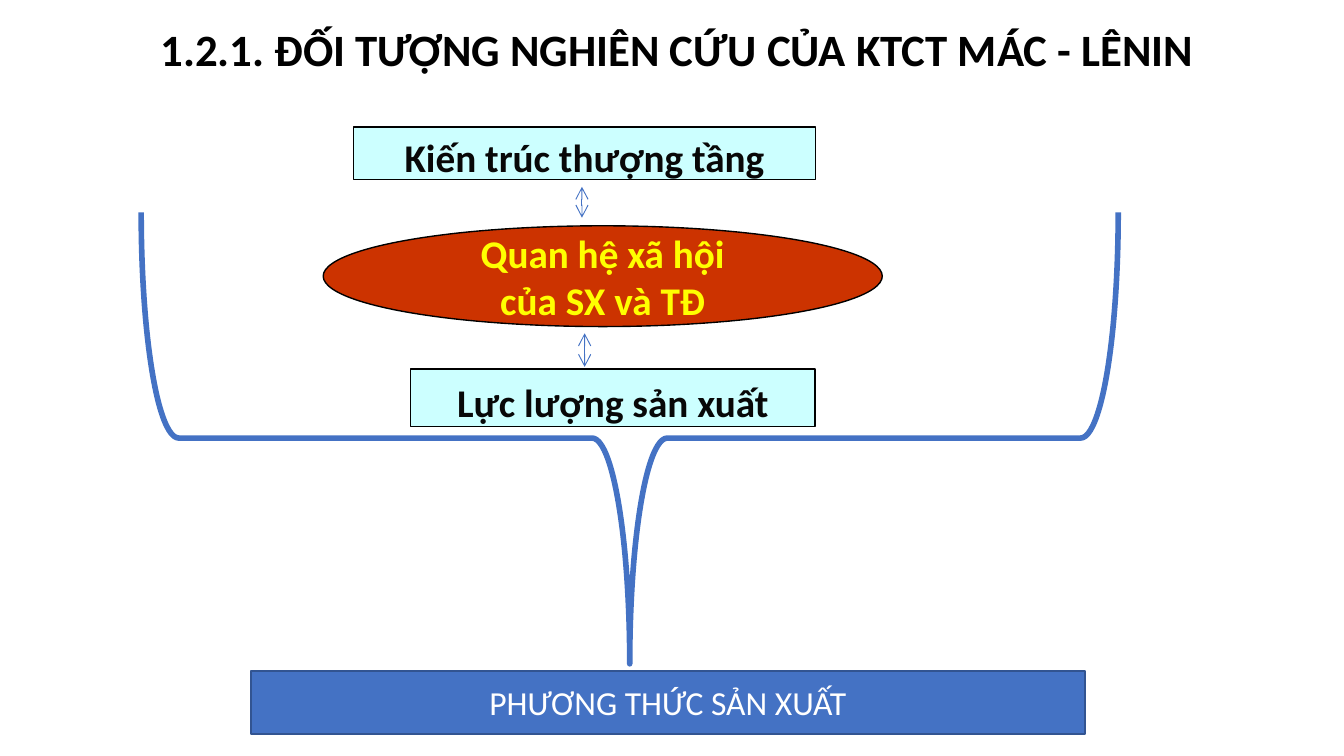
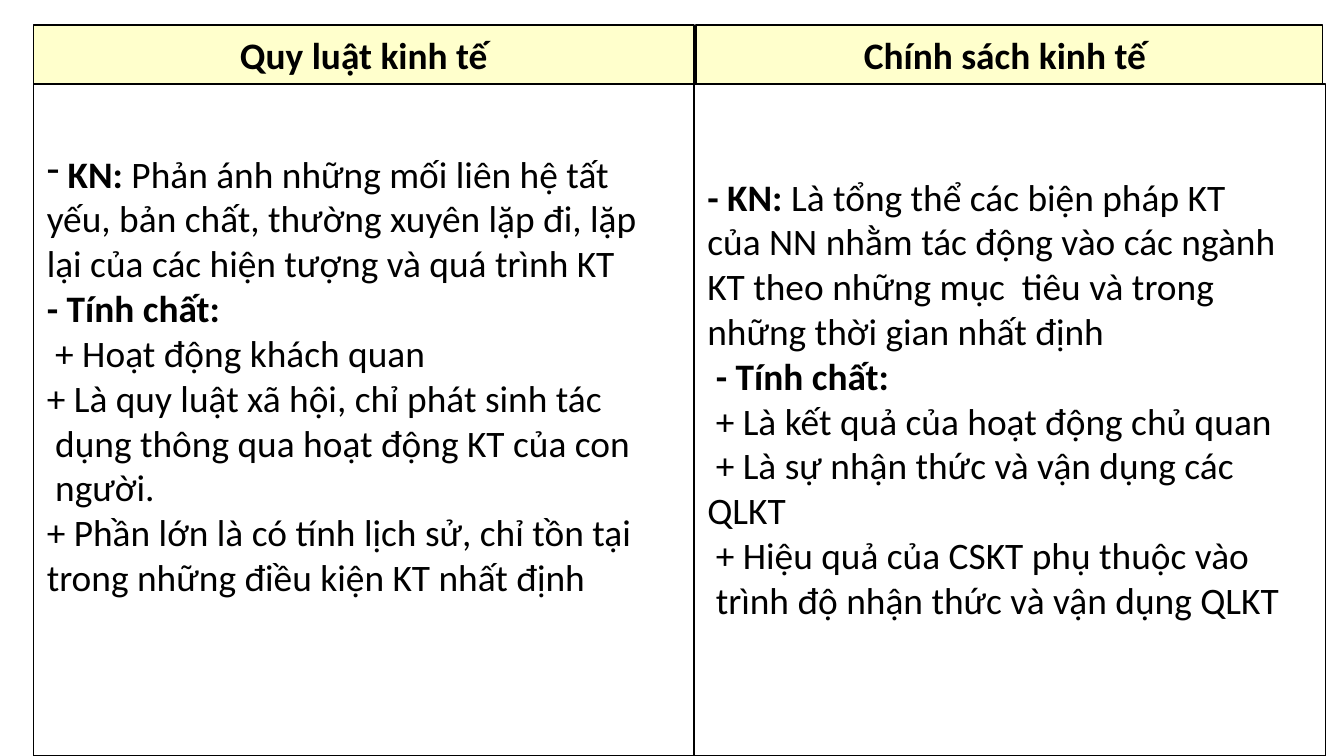
from lxml import etree
from pptx import Presentation
from pptx.dml.color import RGBColor
from pptx.enum.shapes import MSO_CONNECTOR, MSO_SHAPE
from pptx.enum.text import MSO_ANCHOR, PP_ALIGN
from pptx.oxml.ns import qn
from pptx.util import Pt

PX = 4572  # 200 px to the inch
FONT = "Calibri"
RECT, OVAL, BRACE = MSO_SHAPE.RECTANGLE, MSO_SHAPE.OVAL, MSO_SHAPE.RIGHT_BRACE
LINE = MSO_CONNECTOR.STRAIGHT
MID = MSO_ANCHOR.MIDDLE
CENTER, JUST = PP_ALIGN.CENTER, PP_ALIGN.JUSTIFY

COLORS = {
    "black": "000000", "ink": "080808", "white": "FFFFFF",
    "cyan": "CCFFFF", "red": "CC3300", "yellow": "FFFF00",
    "cream": "FFFFCC", "blue": "4472C4", "navy": "325491",
}

LAW = [
    [(" KN: ", True), ("Phản ánh những mối liên hệ tất", False)],
    "yếu, bản chất, thường xuyên lặp đi, lặp",
    "lại của các hiện tượng và quá trình KT",
    [("- Tính chất:", True)],
    " + Hoạt động khách quan",
    "+ Là quy luật xã hội, chỉ phát sinh tác",
    " dụng thông qua hoạt động KT của con",
    " người.",
    "+ Phần lớn là có tính lịch sử, chỉ tồn tại",
    "trong những điều kiện KT nhất định",
]
POLICY = [
    [("- KN: ", True), ("Là tổng thể các biện pháp KT ", False)],
    "của NN nhằm tác động vào các ngành",
    "KT theo những mục  tiêu và trong ",
    "những thời gian nhất định",
    [(" - Tính chất:", True)],
    " + Là kết quả của hoạt động chủ quan",
    " + Là sự nhận thức và vận dụng các ",
    "QLKT ",
    " + Hiệu quả của CSKT phụ thuộc vào",
    " trình độ nhận thức và vận dụng QLKT",
]


def rgb(name):
    return RGBColor.from_string(COLORS[name])


def px(*vals):
    return [v * PX for v in vals]


def write(shape, paras, size, color="black", bold=False, align=CENTER,
          top=10, bottom=10):
    """Fill a shape with paragraphs: plain strings or lists of (text, bold)."""
    frame = shape.text_frame
    frame.word_wrap = True
    frame.margin_top, frame.margin_bottom = px(top, bottom)
    for i, runs in enumerate(paras):
        para = frame.add_paragraph() if i else frame.paragraphs[0]
        para.alignment = align
        if isinstance(runs, str):
            runs = [(runs, bold)]
        for text, heavy in runs:
            run = para.add_run()
            run.text = text
            font = run.font
            font.name, font.size, font.bold = FONT, Pt(size), heavy
            font.color.rgb = rgb(color)
    return frame


def add_box(slide, kind, at, fill=None, edge="black", width=0.75):
    box = slide.shapes.add_shape(kind, *px(*at))
    box.shadow.inherit = False
    if fill:
        box.fill.solid()
        box.fill.fore_color.rgb = rgb(fill)
    else:
        box.fill.background()
    box.line.color.rgb = rgb(edge)
    box.line.width = Pt(width)
    box.text_frame.vertical_anchor = MID
    return box


def add_arrow(slide, x, top, end):
    """Draw an upright arrow with a head at both ends."""
    link = slide.shapes.add_connector(LINE, *px(x, top, x, end))
    link.line.color.rgb = rgb("blue")
    link.line.width = Pt(0.5)
    props = link._element.spPr
    for tag in ("a:headEnd", "a:tailEnd"):
        etree.SubElement(props.find(qn("a:ln")), qn(tag), type="arrow")
    etree.SubElement(props, qn("a:effectLst"))


def add_title(slide, text):
    box = slide.shapes.add_textbox(*px(0, -2, 2000, 116))
    frame = write(box, [text], 24, bold=True)
    frame.paragraphs[0].line_spacing = 1.3


def add_dash(para):
    """Give a paragraph a dash bullet in the font of its text."""
    props = para._p.get_or_add_pPr()
    etree.SubElement(props, qn("a:buFontTx"))
    etree.SubElement(props, qn("a:buChar"), char="-")


def add_tag(slide, at, text):
    write(add_box(slide, RECT, at, "cyan"), [text], 21, "ink", True,
          top=12, bottom=0)


def add_head(slide, at, text):
    write(add_box(slide, RECT, at, "cream"), [text], 20, bold=True)


def add_body(slide, at, paras, bottom):
    return write(add_box(slide, RECT, at, "white"), paras, 20,
                 align=JUST, bottom=bottom)


def draw_mode(slide):
    add_tag(slide, (526, 189, 688, 78), "Kiến trúc thượng tầng")
    core = add_box(slide, OVAL, (481, 336, 832, 150), "red")
    write(core, ["Quan hệ xã hội", "của SX và TĐ"], 21, "yellow", True)
    add_title(slide, " 1.2.1. ĐỐI TƯỢNG NGHIÊN CỨU CỦA KTCT MÁC - LÊNIN")
    add_tag(slide, (611, 549, 602, 86), "Lực lượng sản xuất")
    add_arrow(slide, 870, 496, 546)
    add_arrow(slide, 866, 278, 324)
    brace = add_box(slide, BRACE, (601, -75, 672, 1454), None, "blue", 3)
    brace.rotation = 90
    base = add_box(slide, RECT, (373, 998, 1242, 94), "blue", "navy", 1)
    write(base, ["PHƯƠNG THỨC SẢN XUẤT"], 18, "white")


def draw_pair(slide):
    law = add_body(slide, (50, 125, 1000, 1000), LAW, 144)
    add_dash(law.paragraphs[0])
    add_body(slide, (1033, 125, 940, 1000), POLICY, 76)
    add_head(slide, (50, 37, 983, 88), "Quy luật kinh tế")
    add_head(slide, (1036, 37, 932, 88), "Chính sách kinh tế ")


def main():
    deck = Presentation()
    deck.slide_width, deck.slide_height = px(2000, 1125)
    blank = deck.slide_layouts[6]
    for draw in (draw_mode, draw_pair):
        draw(deck.slides.add_slide(blank))
    deck.save("out.pptx")


if __name__ == "__main__":
    main()
